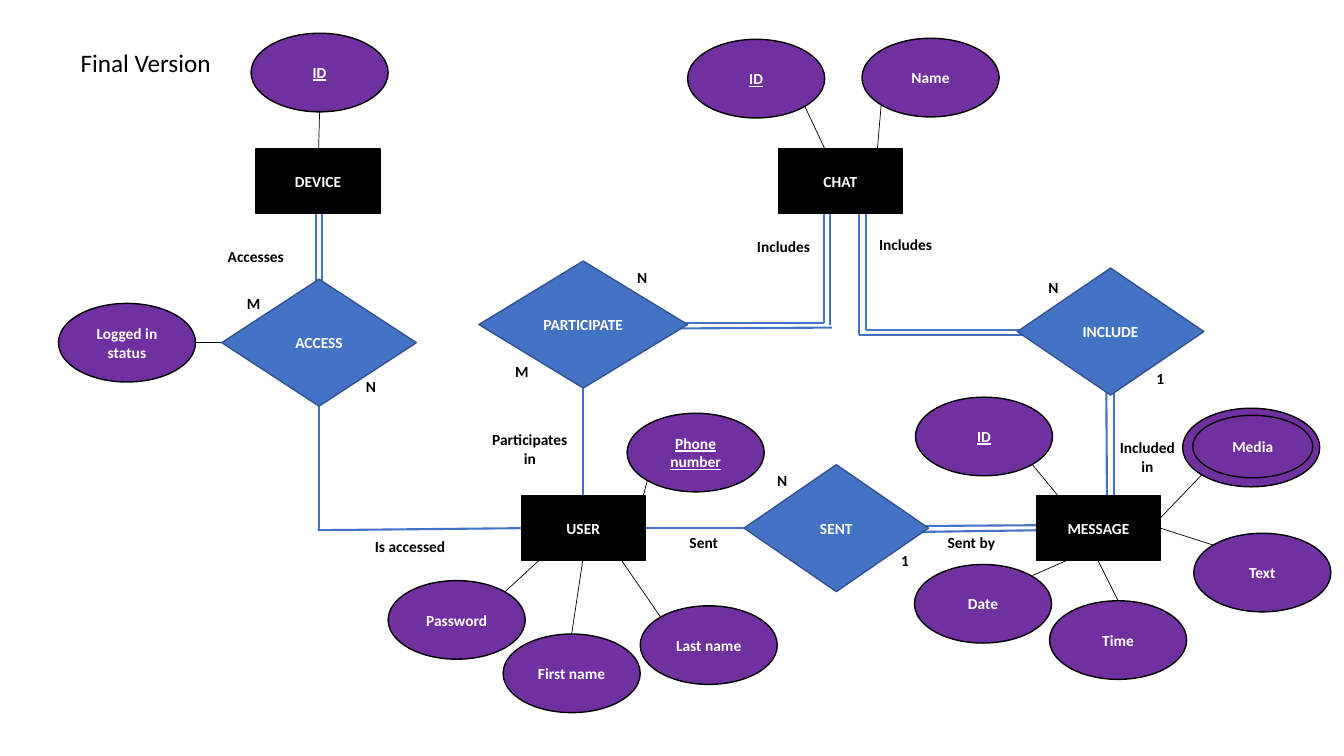
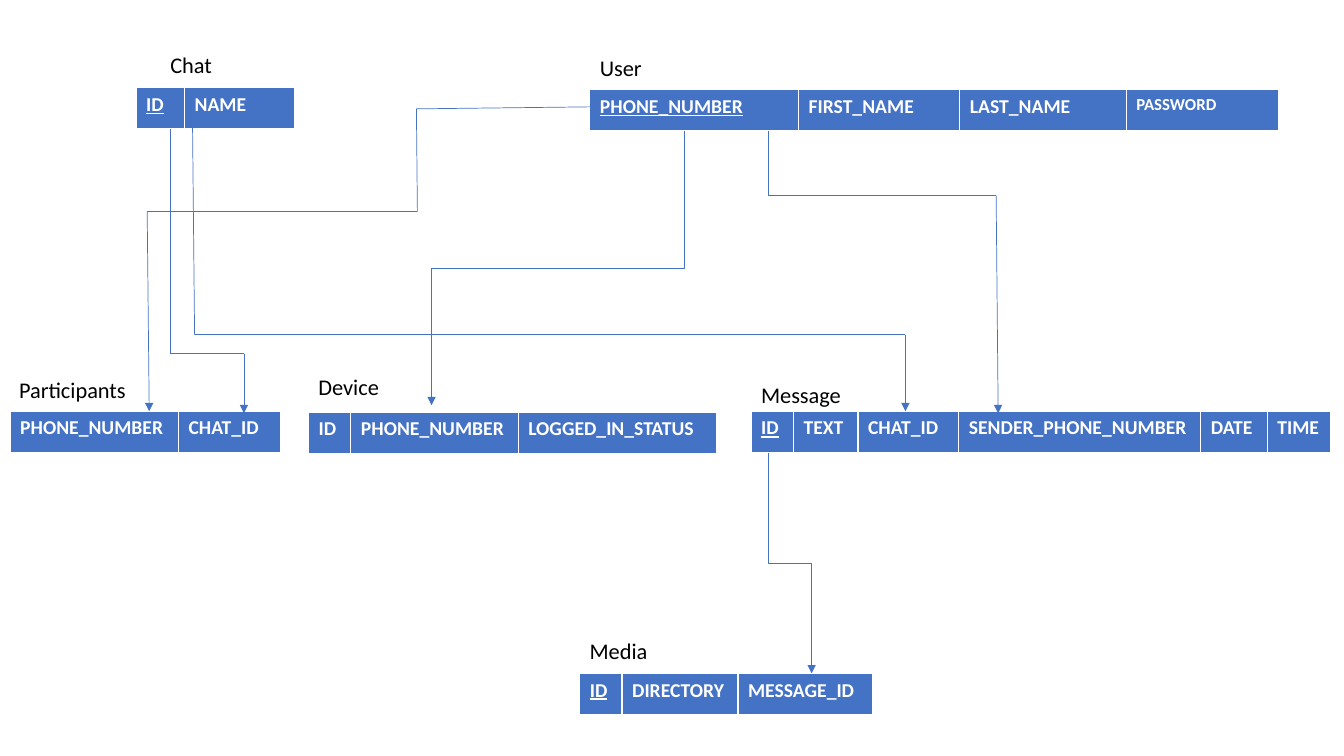
from dataclasses import dataclass
from itertools import pairwise

from lxml import etree
from pptx import Presentation
from pptx.dml.color import RGBColor
from pptx.enum.shapes import MSO_CONNECTOR, MSO_SHAPE
from pptx.enum.text import MSO_ANCHOR, MSO_AUTO_SIZE, PP_ALIGN
from pptx.oxml.ns import qn
from pptx.util import Emu, Pt

PX = 9144  # 100 px to the inch
PAGE_SIZE = (1333, 750)

PURPLE = RGBColor(0x70, 0x30, 0xA0)
BLUE = RGBColor(0x44, 0x72, 0xC4)
DARK_BLUE = RGBColor(0x32, 0x54, 0x91)
BLACK = RGBColor(0, 0, 0)
WHITE = RGBColor(0xFF, 0xFF, 0xFF)

OVAL, RECTANGLE, DIAMOND = MSO_SHAPE.OVAL, MSO_SHAPE.RECTANGLE, MSO_SHAPE.FLOWCHART_DECISION
STRAIGHT, ELBOW = MSO_CONNECTOR.STRAIGHT, MSO_CONNECTOR.ELBOW
LEFT, CENTER = PP_ALIGN.LEFT, PP_ALIGN.CENTER
MIDDLE, FIT_SHAPE = MSO_ANCHOR.MIDDLE, MSO_AUTO_SIZE.SHAPE_TO_FIT_TEXT

NODE_TEXT = {"name": "Calibri", "size": Pt(11), "bold": True}
KEY_TEXT = {**NODE_TEXT, "underline": True}
TITLE_TEXT = {"name": "Calibri", "size": Pt(18)}
CAPTION_TEXT = {"name": "Calibri", "size": Pt(16)}
COLUMN_TEXT = {"name": "Calibri", "size": Pt(14), "bold": True}

ATTRIBUTE_SIZE = (136, 78)
ENTITY_SIZE = (123, 64)
DIAMOND_HEIGHT = 126
ROW_HEIGHT = 41
THIN, THICK = 0.5, 1.5


@dataclass
class Box:
    left: int
    top: int
    width: int
    height: int

    def point(self, x, y):
        return Emu(round((self.left + x) * PX)), Emu(round((self.top + y) * PX))


def px(length):
    return Emu(length * PX)


def write(paragraph, text, color, style, align=LEFT):
    paragraph.alignment = align
    span = paragraph.add_run()
    span.text = text
    span.font.color.rgb = color
    for name, value in style.items():
        setattr(span.font, name, value)


def add_node(page, box, kind, place, size, text, fill, outline=BLACK, style=NODE_TEXT):
    node = page.shapes.add_shape(kind, *box.point(*place), *map(px, size))
    node.shadow.inherit = False
    node.fill.solid()
    node.fill.fore_color.rgb = fill
    node.line.color.rgb = outline
    node.line.width = Pt(1)
    node.text_frame.vertical_anchor = MIDDLE
    if text:
        write(node.text_frame.paragraphs[0], text, WHITE, style, CENTER)


def add_label(page, box, place, size, text, style=NODE_TEXT, align=LEFT):
    label = page.shapes.add_textbox(*box.point(*place), *map(px, size))
    label.text_frame.word_wrap = True
    label.text_frame.auto_size = FIT_SHAPE
    write(label.text_frame.paragraphs[0], text, BLACK, style, align)


def style_line(line, color, width, arrow=False):
    line.line.color.rgb = color
    line.line.width = Pt(width)
    properties = line._element.spPr
    if arrow:
        etree.SubElement(properties.find(qn("a:ln")), qn("a:tailEnd"), type="triangle")
    etree.SubElement(properties, qn("a:effectLst"))


def add_route(page, box, points, color=BLUE, width=THIN, arrow=False):
    """Join the points with straight lines; an arrow goes on the last one."""
    for start, end in pairwise(points):
        line = page.shapes.add_connector(STRAIGHT, *box.point(*start), *box.point(*end))
        style_line(line, color, width, arrow and end == points[-1])


def add_vertical_elbow(page, box, start, end):
    """Run down, across and down: a level elbow turned by 90 degrees."""
    (x1, y1), (x2, y2) = start, end
    middle_x, middle_y = (x1 + x2) / 2, (y1 + y2) / 2
    half_x, half_y = (x2 - x1) / 2, (y2 - y1) / 2
    line = page.shapes.add_connector(
        ELBOW,
        *box.point(middle_x - half_y, middle_y + half_x),
        *box.point(middle_x + half_y, middle_y - half_x),
    )
    line._element.spPr.find(qn("a:xfrm")).set("rot", str(90 * 60000))
    style_line(line, BLUE, THIN, arrow=True)


RELATION_LINES = [
    ((823, 155), (823, 322)), ((641, 326), (825, 325)),
    ((817, 193), (817, 320)), ((657, 320), (817, 320)),
    ((859, 165), (859, 327), (1039, 327)),
    ((852, 178), (852, 332), (1024, 332)),
    ((578, 385), (578, 492)),
    ((1105, 327), (1105, 514)), ((1097, 330), (1098, 517)),
    ((891, 528), (1034, 526)), ((891, 522), (1039, 521)),
    ((319, 185), (319, 348)), ((313, 176), (313, 339)),
    ((316, 403), (316, 526)), ((517, 524), (315, 526)),
    ((738, 524), (640, 524)),
]
ATTRIBUTE_LINES = [
    ((642, 477), (631, 518)), ((611, 548), (655, 612)),
    ((501, 587), (540, 551)), ((567, 629), (578, 556)),
    ((1024, 461), (1071, 518)), ((1144, 521), (1192, 471)),
    ((1151, 524), (1204, 541)), ((830, 173), (798, 105)),
    ((868, 173), (874, 104)), ((1089, 556), (1109, 596)),
    ((1076, 548), (1024, 571)), ((316, 148), (317, 111)),
    ((194, 340), (220, 340)),
]
KEYS = [
    ("ID", (249, 33)), ("ID", (682, 39)), ("ID", (908, 394)),
    ("Phone number", (622, 410)),
]
ATTRIBUTES = [
    ("First name", (499, 629)), ("Last name", (635, 601)), ("Password", (385, 576)),
    ("Name", (855, 38)), ("Text", (1184, 529)), ("Date", (907, 560)),
    ("Time", (1041, 596)), ("Logged in status", (58, 301)), ("", (1173, 405)),
]
ENTITIES = [
    ("DEVICE", (254, 148)), ("CHAT", (772, 148)),
    ("USER", (517, 492)), ("MESSAGE", (1028, 492)),
]
RELATIONS = [
    ("ACCESS", (220, 277), 193), ("PARTICIPATE", (475, 259), 207),
    ("INCLUDE", (1009, 266), 185), ("SENT", (738, 461), 183),
]
ROLES = [
    ("Includes", (741, 230), 80), ("Includes", (862, 228), 80),
    ("Accesses", (216, 240), 94), ("Is accessed", (362, 528), 94),
    ("Sent", (674, 524), 80), ("Sent by", (930, 524), 80),
]
CENTERED_ROLES = [("Participates in", (473, 422), 105), ("Included in", (1099, 430), 78)]
CARDINALITIES = [
    ("M", (501, 354)), ("N", (1027, 303)), ("1", (1137, 361)), ("M", (235, 287)),
    ("N", (353, 369)), ("1", (884, 542)), ("N", (761, 462)), ("N", (622, 261)),
]
CARDINALITIES[1] = ("N", (1030, 271))


def draw_entity_diagram(page, box):
    for points in RELATION_LINES:
        add_route(page, box, points, width=THICK)
    for points in ATTRIBUTE_LINES:
        add_route(page, box, points, BLACK)
    for text, place in KEYS:
        add_node(page, box, OVAL, place, ATTRIBUTE_SIZE, text, PURPLE, style=KEY_TEXT)
    for text, place in ATTRIBUTES:
        add_node(page, box, OVAL, place, ATTRIBUTE_SIZE, text, PURPLE)
    add_node(page, box, OVAL, (1183, 412), (119, 62), "Media", PURPLE)
    for text, place in ENTITIES:
        add_node(page, box, RECTANGLE, place, ENTITY_SIZE, text, BLACK)
    for text, place, width in RELATIONS:
        add_node(page, box, DIAMOND, place, (width, DIAMOND_HEIGHT), text, BLUE, DARK_BLUE)
    for text, place, width in ROLES:
        add_label(page, box, place, (width, 29), text)
    for text, place, width in CENTERED_ROLES:
        add_label(page, box, place, (width, 47), text, align=CENTER)
    for text, place in CARDINALITIES:
        add_label(page, box, place, (27, 29), text)
    add_label(page, box, (70, 42), (498, 40), "Final Version", TITLE_TEXT)


# caption, caption offset from the table, table place, columns, has a marked key
RELATION_TABLES = [
    ("Chat", (24, -41), (135, 87), {"ID": 48, "NAME": 109}, True),
    ("User", (0, -40), (585, 89),
     {"PHONE_NUMBER": 207, "FIRST_NAME": 160, "LAST_NAME": 165, "PASSWORD": 151}, True),
    ("Participants", (-1, -40), (10, 408), {"PHONE_NUMBER": 167, "CHAT_ID": 101}, False),
    ("Device", (0, -44), (306, 409),
     {"ID": 42, "PHONE_NUMBER": 166, "LOGGED_IN_STATUS": 197}, False),
    ("Message", (0, -35), (745, 408),
     {"ID": 42, "TEXT": 64, "CHAT_ID": 100, "SENDER_PHONE_NUMBER": 240,
      "DATE": 66, "TIME": 63}, True),
    ("Media", (0, -41), (575, 668), {"ID": 42, "DIRECTORY": 115, "MESSAGE_ID": 133}, True),
]
SMALL_COLUMNS = {"PASSWORD": Pt(12)}
FOREIGN_KEY_ROUTES = [
    [(587, 106), (413, 108), (414, 210), (146, 210), (148, 408)],
    [(169, 128), (169, 351), (242, 351), (242, 410)],
    [(191, 127), (193, 332), (898, 332), (898, 408)],
    [(762, 130), (762, 194), (988, 194), (990, 410)],
]
FOREIGN_KEY_ELBOWS = [((679, 130), (428, 402)), ((762, 449), (805, 668))]


def draw_relation_table(page, box, caption, offset, columns, has_key):
    add_label(page, box, offset, (498, 37), caption, CAPTION_TEXT)
    frame = page.shapes.add_table(
        1, len(columns), *box.point(0, 0), px(box.width), px(box.height))
    table = frame.table
    for index, (name, width) in enumerate(columns.items()):
        table.columns[index].width = px(width)
        cell = table.cell(0, index)
        cell.fill.solid()
        cell.fill.fore_color.rgb = BLUE
        style = {
            **COLUMN_TEXT,
            "size": SMALL_COLUMNS.get(name, COLUMN_TEXT["size"]),
            "underline": has_key and index == 0,
        }
        write(cell.text_frame.paragraphs[0], name, WHITE, style)


def draw_schema(page, box):
    for caption, offset, (left, top), columns, has_key in RELATION_TABLES:
        table_box = Box(box.left + left, box.top + top, sum(columns.values()), ROW_HEIGHT)
        draw_relation_table(page, table_box, caption, offset, columns, has_key)
    for points in FOREIGN_KEY_ROUTES:
        add_route(page, box, points, arrow=True)
    for start, end in FOREIGN_KEY_ELBOWS:
        add_vertical_elbow(page, box, start, end)


def main():
    deck = Presentation()
    deck.slide_width, deck.slide_height = map(px, PAGE_SIZE)
    for draw in (draw_entity_diagram, draw_schema):
        page = deck.slides.add_slide(deck.slide_layouts[6])
        draw(page, Box(0, 0, *PAGE_SIZE))
    deck.save("out.pptx")


if __name__ == "__main__":
    main()
